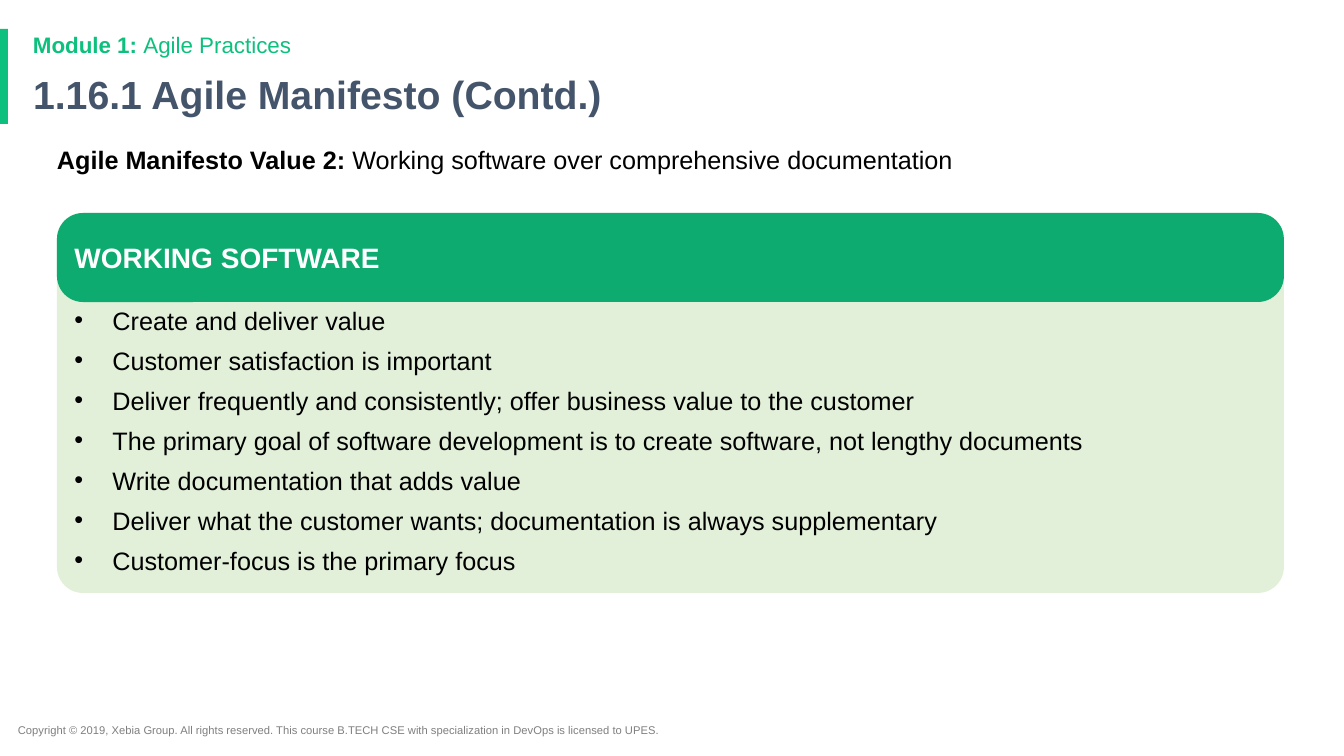
from lxml import etree
from pptx import Presentation
from pptx import util as u
from pptx.dml.color import RGBColor
from pptx.enum import shapes, text
from pptx.oxml.ns import qn

HUES = {"mint": "0EC07D", "green": "0DAB6F", "pale": "E2F0D9", "slate": "44546A",
        "gray": "7F7F7F", "black": "000000", "white": "FFFFFF"}
MODULE = [("Module 1: ", True), ("Agile Practices", False)]
TITLE = [("1.16.1 Agile Manifesto (Contd.)", True)]
VALUE = [("Agile Manifesto Value 2: ", True),
         ("Working software over comprehensive documentation", False)]
HEAD = [("WORKING SOFTWARE", True)]
POINTS = [
    "Create and deliver value",
    "Customer satisfaction is important",
    "Deliver frequently and consistently; offer business value to the customer",
    "The primary goal of software development is to create software, not lengthy documents",
    "Write documentation that adds value",
    "Deliver what the customer wants; documentation is always supplementary",
    "Customer-focus is the primary focus",
]
RIGHTS = [("Copyright © 2019, Xebia Group. All rights reserved. This course B.TECH CSE "
           "with specialization in DevOps is licensed to UPES.", False)]

CARD = (57, 213, 1227, 380)
BAND = CARD[:3] + (89,)
ROUND = 26
INDENT = 38


def px(n):
    return u.Emu(round(n * 914400 / 100.8))


def color(name):
    return RGBColor.from_string(HUES[name])


def place(shape, box):
    shape.left, shape.top, shape.width, shape.height = map(px, box)


def write(para, runs, size, hue):
    para.alignment = text.PP_ALIGN.LEFT
    for words, bold in runs:
        run = para.add_run()
        run.text = words
        if len(runs) > 1:
            run.font.bold = bold
    font = para.font
    font.name, font.size = "Arial", u.Pt(size)
    font.color.rgb = color(hue)
    if len(runs) == 1:
        font.bold = runs[0][1]


def setup(shape, anchor):
    frame = shape.text_frame
    frame.word_wrap = True
    frame.auto_size = text.MSO_AUTO_SIZE.NONE
    frame.vertical_anchor = anchor
    return frame


def block(slide, kind, box, hue):
    shape = slide.shapes.add_shape(kind, *map(px, box))
    shape.shadow.inherit = False
    shape.fill.solid()
    shape.fill.fore_color.rgb = color(hue)
    shape.line.fill.background()
    if kind == KIND.ROUNDED_RECTANGLE:
        shape.adjustments[0] = ROUND / box[3]
    return shape


def bullet(para):
    props = para._p.get_or_add_pPr()
    props.set("marL", str(px(INDENT)))
    props.set("indent", str(-px(INDENT)))
    etree.SubElement(props, qn("a:buFont")).set("typeface", "Arial")
    etree.SubElement(props, qn("a:buChar")).set("char", "•")


KIND = shapes.MSO_SHAPE
TOP, MID, LOW = text.MSO_ANCHOR.TOP, text.MSO_ANCHOR.MIDDLE, text.MSO_ANCHOR.BOTTOM


def main():
    deck = Presentation()
    deck.slide_width, deck.slide_height = px(1344), px(756)
    slide = deck.slides.add_slide(deck.slide_layouts[1])
    title, body = slide.placeholders

    block(slide, KIND.RECTANGLE, (0, 29, 8, 95), "mint")
    notice, module = (slide.shapes.add_textbox(0, 0, 0, 0) for _ in range(2))

    for shape, box, anchor, runs, size, hue, lead in [
        (notice, (8, 718, 719, 24), TOP, RIGHTS, 8, "gray", 1.0),
        (module, (23, 30, 1159, 33), MID, MODULE, 16, "mint", 0.9),
        (title, (23, 70, 1159, 54), MID, TITLE, 28, "slate", 0.9),
        (body, (57, 144, 1133, 533), TOP, VALUE, 18, "black", 1.0),
    ]:
        place(shape, box)
        para = setup(shape, anchor).paragraphs[0]
        para.line_spacing = lead
        para.space_before = u.Pt(0)
        write(para, runs, size, hue)

    body.text_frame.margin_left = body.text_frame.margin_top = 0
    props = body.text_frame.paragraphs[0]._p.pPr
    props.set("marL", "0")
    props.set("indent", "0")
    etree.SubElement(props, qn("a:buNone"))

    card = block(slide, KIND.ROUNDED_RECTANGLE, CARD, "pale")
    frame = setup(card, LOW)
    frame.margin_bottom = px(10)
    for i, point in enumerate(POINTS):
        para = frame.add_paragraph() if i else frame.paragraphs[0]
        bullet(para)
        para.level = 1
        para.space_before = u.Pt(7 if i else 0)
        write(para, [(point, False)], 18, "black")

    band = block(slide, KIND.ROUNDED_RECTANGLE, BAND, "green")
    write(setup(band, MID).paragraphs[0], HEAD, 20, "white")

    deck.save("out.pptx")


if __name__ == "__main__":
    main()
